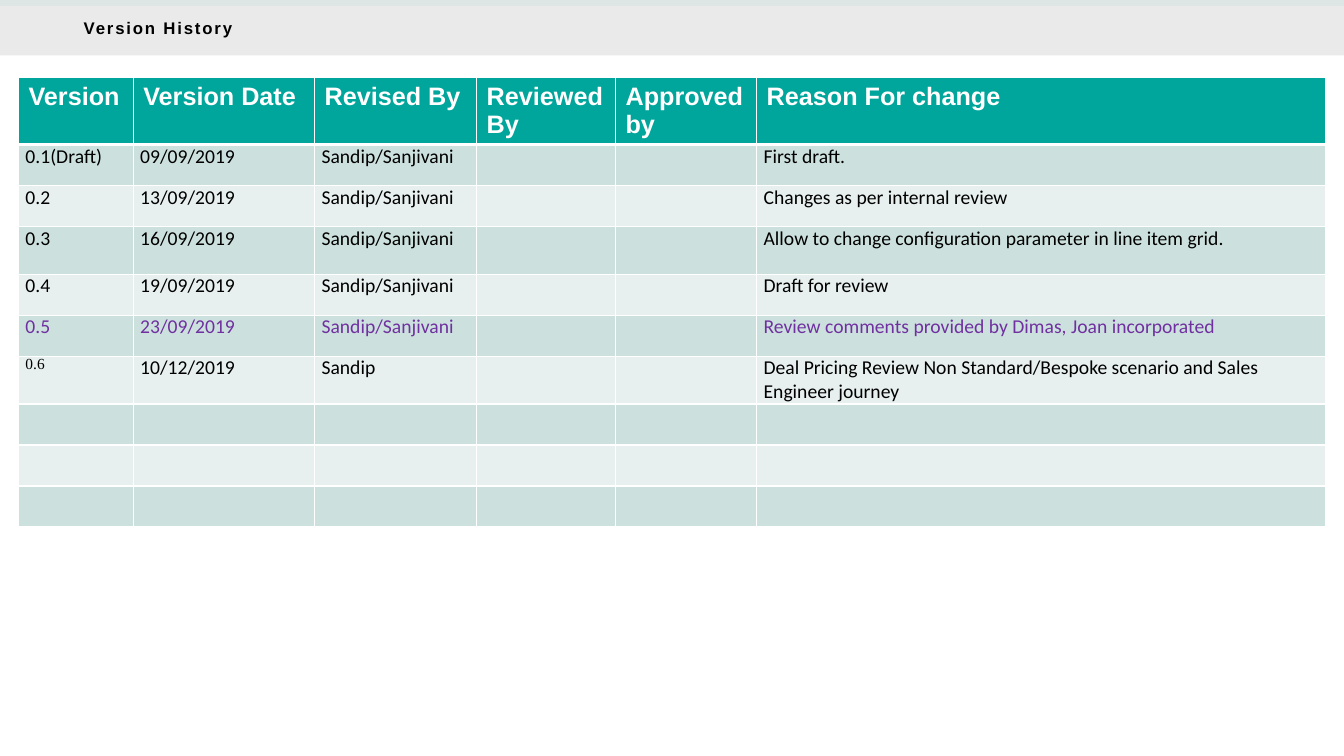
from lxml import etree
from pptx import Presentation
from pptx.dml.color import RGBColor
from pptx.enum.shapes import MSO_SHAPE
from pptx.enum.text import MSO_ANCHOR, MSO_AUTO_SIZE, PP_ALIGN
from pptx.oxml.ns import qn
from pptx.util import Pt

RECT = MSO_SHAPE.RECTANGLE
MIDDLE = MSO_ANCHOR.MIDDLE
LEFT, JUSTIFY = PP_ALIGN.LEFT, PP_ALIGN.JUSTIFY
NO_FIT = MSO_AUTO_SIZE.NONE

WIDTH, HEIGHT = 960, 540
TEAL, WHITE, BLACK, PURPLE = "00A59B", "FFFFFF", "000000", "7030A0"
BANDS = ["E7F0EF", "CCE1DE"]


def paint(fill, color):
    fill.solid()
    fill.fore_color.rgb = RGBColor.from_string(color)


def write(frame, text, size=14, font="Calibri", color=BLACK, bold=False, align=LEFT):
    para = frame.paragraphs[0]
    para.alignment = align
    run = para.add_run()
    run.text = text
    run.font.size, run.font.name, run.font.bold = Pt(size), font, bold
    run.font.color.rgb = RGBColor.from_string(color)
    return run


prs = Presentation()
prs.slide_width, prs.slide_height = Pt(WIDTH), Pt(HEIGHT)
slide = prs.slides.add_slide(prs.slide_layouts[5])

# Title band, with a thin teal strip behind it
title = slide.shapes.title
title.left, title.top, title.width, title.height = Pt(0), Pt(0), Pt(WIDTH), Pt(39.6)
paint(title.fill, "E9E9E9")
tint = title.fill._xPr.find(qn("a:solidFill"))[0]
etree.SubElement(tint, qn("a:alpha"), val="95000")
frame = title.text_frame
frame.auto_size, frame.vertical_anchor = NO_FIT, MIDDLE
frame.margin_left = Pt(59.8)
frame.margin_top = frame.margin_right = frame.margin_bottom = 0
run = write(frame, "Version History", size=12, font="Arial", bold=True)
run.font._element.set("spc", "130")

strip = slide.shapes.add_shape(RECT, Pt(0), Pt(0), Pt(WIDTH), Pt(4.3))
strip.shadow.inherit = False
paint(strip.fill, TEAL)
strip.line.fill.background()
title._element.addprevious(strip._element)

# Version table
heads = ["Version", "Version Date", "Revised By", "Reviewed By", "Approved by",
         "Reason For change"]
both = "Sandip/Sanjivani"
rows = [
    ["0.1(Draft)", "09/09/2019", both, "", "", "First draft."],
    ["0.2", "13/09/2019", both, "", "", "Changes as per internal review"],
    ["0.3", "16/09/2019", both, "", "",
     "Allow to change configuration parameter in line item grid."],
    ["0.4", "19/09/2019", both, "", "", "Draft for review"],
    ["0.5", "23/09/2019", both, "", "",
     "Review comments provided by Dimas, Joan incorporated"],
    ["0.6", "10/12/2019", "Sandip", "", "",
     "Deal Pricing Review Non Standard/Bespoke scenario and Sales Engineer journey"],
] + [[""] * 6] * 3
widths = [82, 129.5, 115.8, 99.2, 100.8, 406.5]
tall = {0: 47, 3: 34.2, 6: 34.2}
heights = [tall.get(r, 29.3) for r in range(len(rows) + 1)]

table = slide.shapes.add_table(len(heights), len(widths), Pt(13.2), Pt(55.6),
                               Pt(sum(widths)), Pt(sum(heights))).table
for col, width in zip(table.columns, widths):
    col.width = Pt(width)
for row, height in zip(table.rows, heights):
    row.height = Pt(height)

for r, texts in enumerate([heads] + rows):
    for c, text in enumerate(texts):
        cell = table.cell(r, c)
        props = cell._tc.get_or_add_tcPr()
        for side in "LRTB":
            thick = (r, side) in [(0, "B"), (1, "T")]
            edge = etree.SubElement(props, qn("a:ln" + side), w=str(Pt(3 if thick else 1)))
            solid = etree.SubElement(edge, qn("a:solidFill"))
            etree.SubElement(solid, qn("a:srgbClr"), val=WHITE)
        paint(cell.fill, BANDS[r % 2] if r else TEAL)
        if r == 0:
            write(cell.text_frame, text, size=18, font="Arial", color=WHITE, bold=True)
        elif text:
            cell.margin_left = cell.margin_right = Pt(5)
            cell.margin_top = cell.margin_bottom = 0
            look = {"size": 11, "font": "Times New Roman"} if text == "0.6" else {}
            write(cell.text_frame, text, color=PURPLE if r == 5 else BLACK,
                  align=LEFT if (r, c) == (6, 5) else JUSTIFY, **look)

prs.save("out.pptx")
